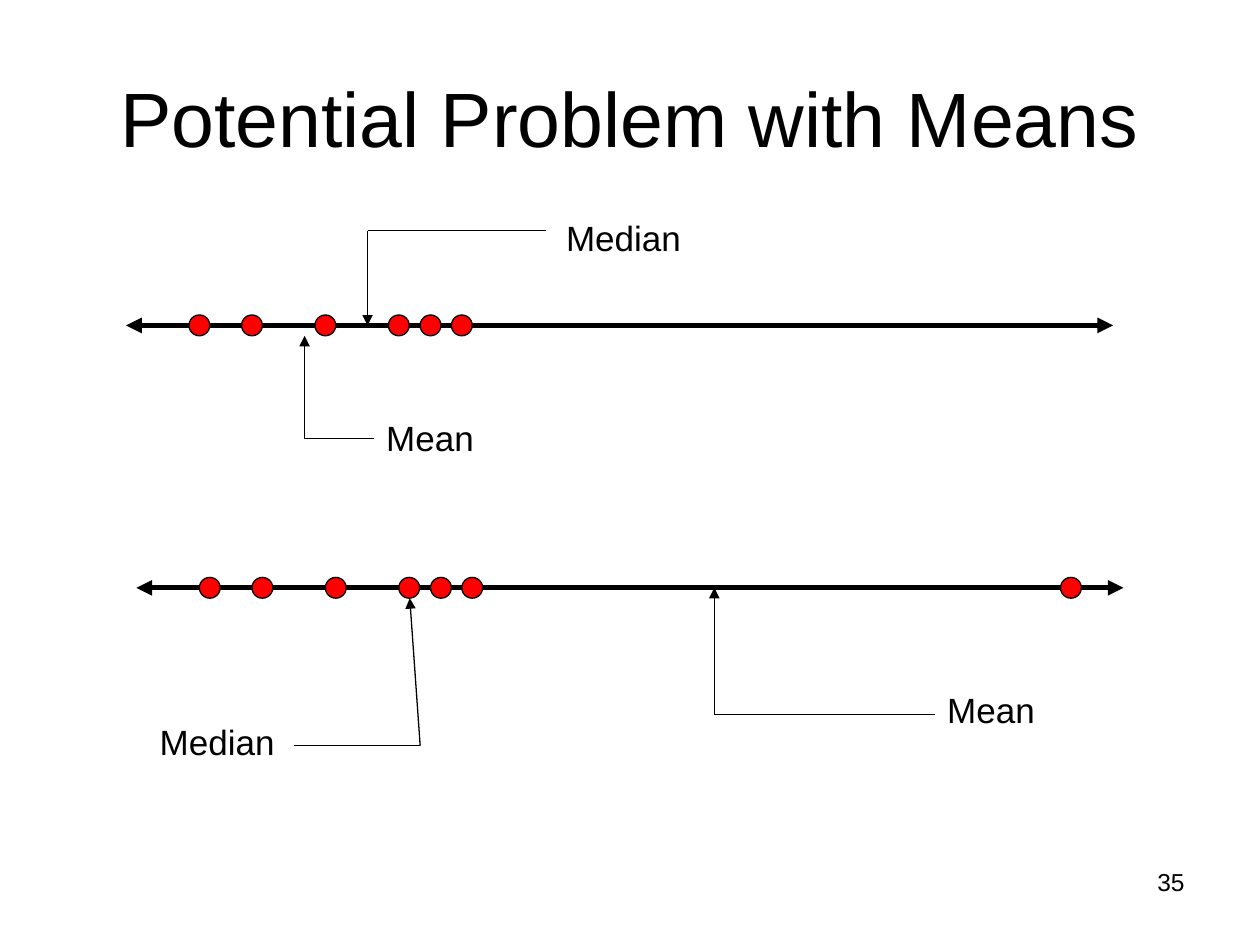
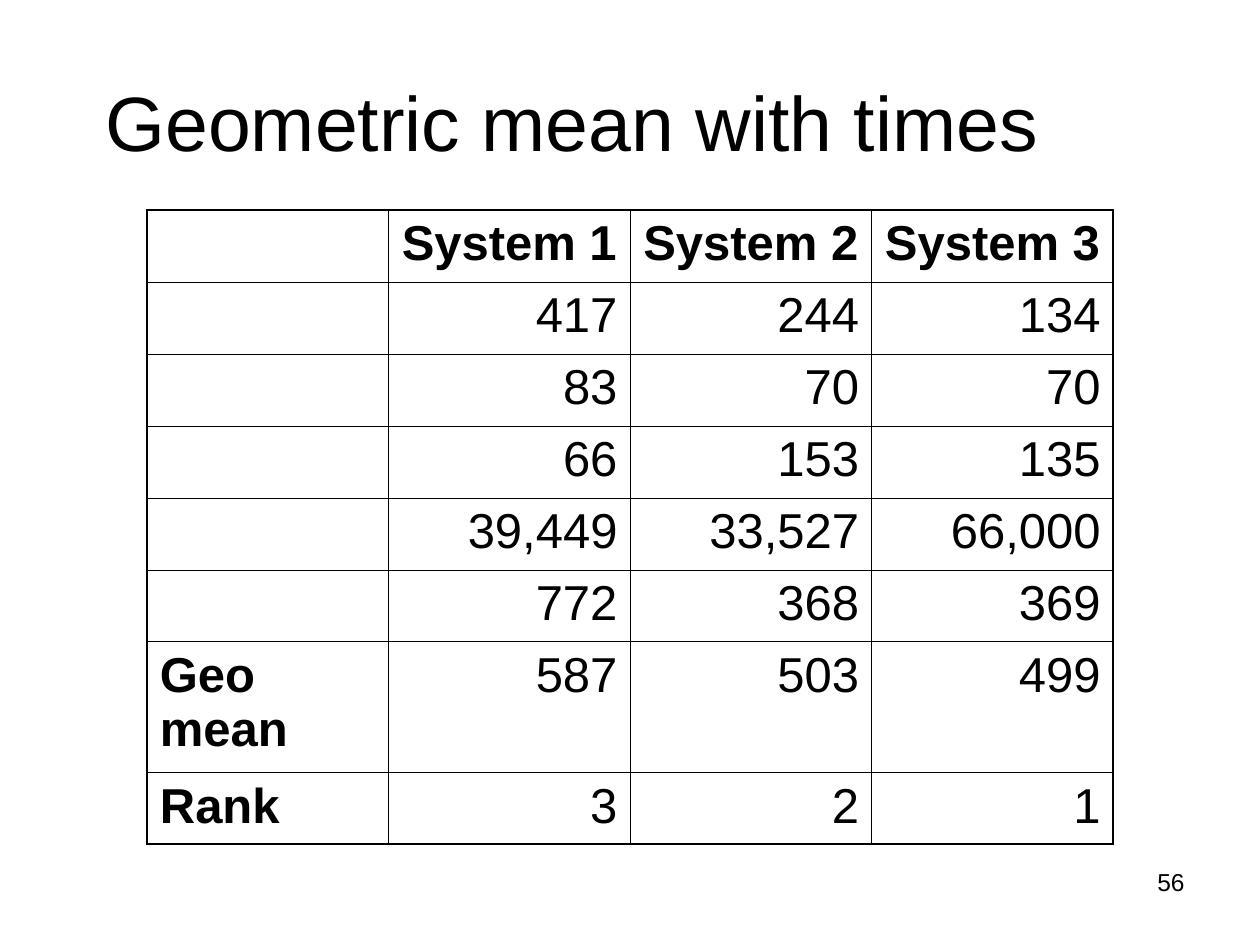
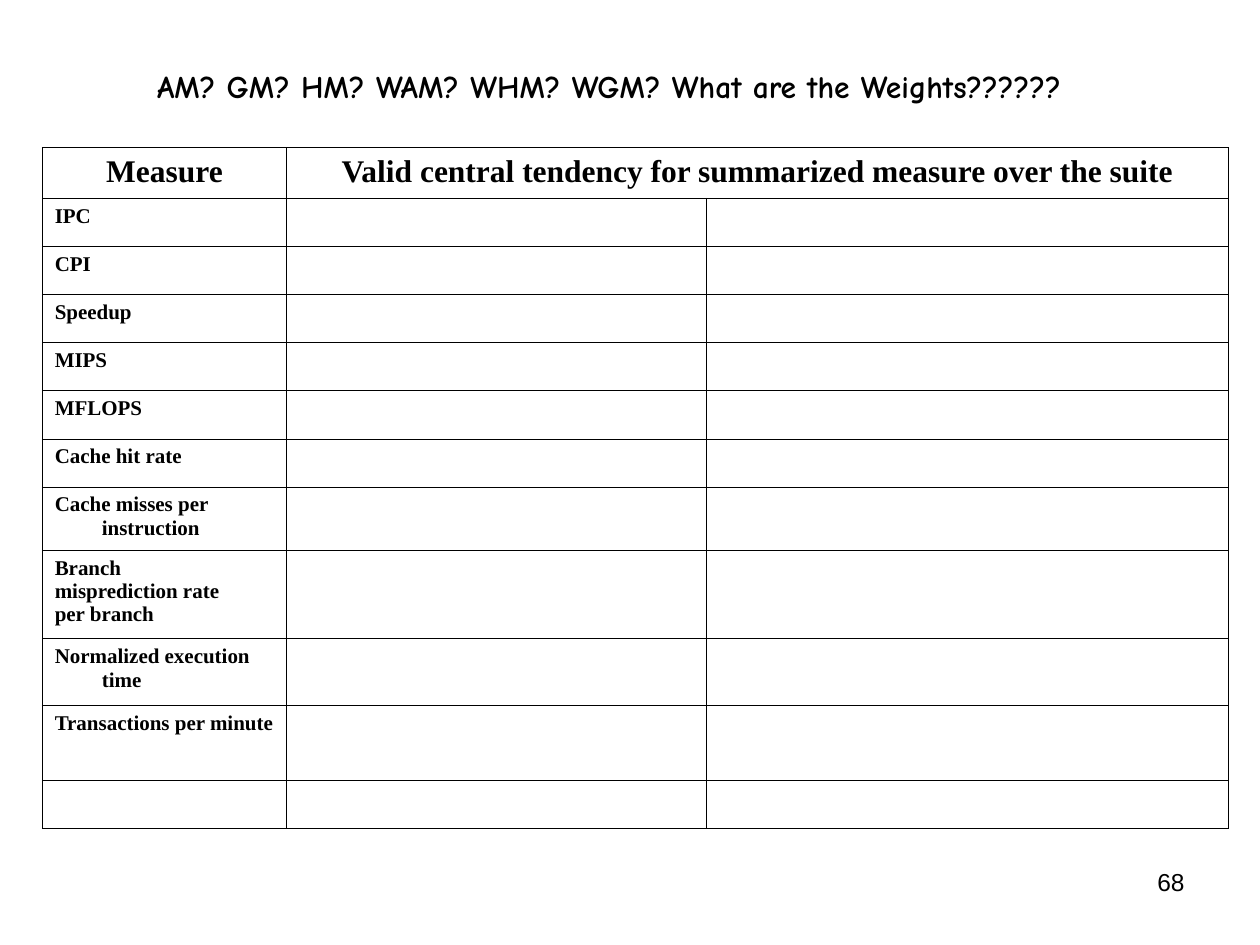
"""Build three lecture slides on means, medians and measures of central tendency."""
import dataclasses

import lxml.etree
import pptx
import pptx.dml.color
import pptx.enum.shapes
import pptx.enum.text
import pptx.oxml.ns
import pptx.util

Cm = pptx.util.Cm
Pt = pptx.util.Pt
qn = pptx.oxml.ns.qn
ALIGN = pptx.enum.text.PP_ALIGN
MIDDLE = pptx.enum.text.MSO_ANCHOR.MIDDLE
TOP = pptx.enum.text.MSO_ANCHOR.TOP


@dataclasses.dataclass(frozen=True)
class Theme:
    """Colours, fonts and sizes shared by the slides."""

    ink: pptx.dml.color.RGBColor = pptx.dml.color.RGBColor(0, 0, 0)
    dot: pptx.dml.color.RGBColor = pptx.dml.color.RGBColor(255, 0, 0)
    body_font: str = "Arial"
    question_font: str = "Comic Neue"
    measure_font: str = "Times New Roman"
    title_size: int = 44
    value_size: int = 28
    label_size: int = 20
    heading_size: int = 18
    number_size: int = 14
    measure_size: int = 12
    axis_width: float = 3
    thin_width: float = 0.75
    frame_width: float = 1.08
    grid_width: float = 0.45


theme = Theme()


def write_text(frame, text, *, size, font=theme.body_font, bold=False,
               align=ALIGN.LEFT, anchor=TOP, wrap=True, hanging=0):
    """Fill a text frame, one paragraph for each line of text."""
    frame.word_wrap = wrap
    frame.vertical_anchor = anchor
    for index, line in enumerate(text.split("\n")):
        paragraph = frame.add_paragraph() if index else frame.paragraphs[0]
        paragraph.alignment = align
        if hanging:
            properties = paragraph._p.get_or_add_pPr()
            properties.set("marL", str(Cm(hanging)))
            properties.set("indent", str(-Cm(hanging)))
        run = paragraph.add_run()
        run.text = line
        run.font.name = font
        run.font.size = Pt(size)
        run.font.bold = bold
        run.font.color.rgb = theme.ink


def draw_line(slide, start, end, width, arrows=()):
    """Draw a straight line with arrowheads at the named ends."""
    connector = slide.shapes.add_connector(
        pptx.enum.shapes.MSO_CONNECTOR.STRAIGHT, *map(Cm, (*start, *end)))
    connector.line.color.rgb = theme.ink
    connector.line.width = Pt(width)
    properties = connector._element.spPr
    for arrow in arrows:
        lxml.etree.SubElement(properties.find(qn("a:ln")), qn(f"a:{arrow}"), type="triangle")
    lxml.etree.SubElement(properties, qn("a:effectLst"))
    return connector


presentation = pptx.Presentation()
presentation.slide_width = Cm(25.4)
presentation.slide_height = Cm(19.05)

title_style = {"size": theme.title_size}
question_style = {"size": theme.heading_size, "font": theme.question_font, "bold": True}
headers = [
    ("Potential Problem with Means", (1.27, 0.76, 22.86, 3.18), title_style, "35"),
    ("Geometric mean with times", (1.06, 0.64, 20.96, 3.6), title_style, "56"),
    ("AM? GM? HM? WAM? WHM? WGM? What are the Weights??????",
     (0.85, 0.64, 22.86, 2.2), question_style, "68"),
]
slides = []
for title, place, style, number in headers:
    slide = presentation.slides.add_slide(presentation.slide_layouts[6])
    slides.append(slide)
    number_box = slide.shapes.add_textbox(Cm(18.2), Cm(17.36), Cm(5.93), Cm(1.32))
    write_text(number_box.text_frame, number, size=theme.number_size, align=ALIGN.RIGHT)
    title_box = slide.shapes.add_textbox(*map(Cm, place))
    write_text(title_box.text_frame, title, align=ALIGN.CENTER, anchor=MIDDLE, **style)

means_slide, times_slide, measures_slide = slides

axis_length = 19.9
dot_size = 0.42
cluster = [1.48, 2.54, 4.02, 5.5, 6.14, 6.77]
outlier = 18.84
for axis_left, axis_y, dot_centres in [(2.54, 6.56, cluster),
                                       (2.75, 11.85, cluster + [outlier])]:
    draw_line(means_slide, (axis_left, axis_y), (axis_left + axis_length, axis_y),
              theme.axis_width, ("headEnd", "tailEnd"))
    for centre in dot_centres:
        dot = means_slide.shapes.add_shape(
            pptx.enum.shapes.MSO_SHAPE.OVAL,
            Cm(axis_left + centre - dot_size / 2), Cm(axis_y - dot_size / 2),
            Cm(dot_size), Cm(dot_size))
        dot.shadow.inherit = False
        dot.fill.solid()
        dot.fill.fore_color.rgb = theme.dot
        dot.line.color.rgb = theme.ink
        dot.line.width = Pt(theme.thin_width)

labels = [
    ("Median", 11.16, 4.24, 2.82),
    ("Mean", 7.47, 8.28, 2.4),
    ("Median", 2.97, 14.4, 2.82),
    ("Mean", 18.78, 13.75, 2.4),
]
for label, left, top, width in labels:
    label_box = means_slide.shapes.add_textbox(Cm(left), Cm(top), Cm(width), Cm(1.12))
    write_text(label_box.text_frame, label, size=theme.label_size,
               align=ALIGN.CENTER, wrap=False)

leaders = [
    ((11.01, 4.65), (7.41, 4.65), (7.41, 6.56)),
    ((5.93, 15.03), (8.47, 15.03), (8.26, 12.06)),
    ((18.84, 14.4), (14.4, 14.4), (14.4, 11.85)),
]
for start, bend, tip in leaders:
    draw_line(means_slide, start, bend, theme.thin_width)
    draw_line(means_slide, bend, tip, theme.thin_width, ("tailEnd",))

elbow = draw_line(means_slide, (6.14, 6.77), (7.54, 8.84), theme.thin_width, ("tailEnd",))
elbow.rotation = 180
elbow._element.spPr.find(qn("a:prstGeom")).set("prst", "bentConnector2")
elbow._element.spPr.find(qn("a:xfrm")).set("rot", "10800000")

times = [
    ["", "System 1", "System 2", "System 3"],
    ["", "417", "244", "134"],
    ["", "83", "70", "70"],
    ["", "66", "153", "135"],
    ["", "39,449", "33,527", "66,000"],
    ["", "772", "368", "369"],
    ["Geo mean", "587", "503", "499"],
    ["Rank", "3", "2", "1"],
]
measure_names = [
    "IPC", "CPI", "Speedup", "MIPS", "MFLOPS", "Cache hit rate",
    "Cache misses per instruction", "Branch\nmisprediction rate\nper branch",
    "Normalized execution time", "Transactions per minute", "",
]
measures = [["Measure", "Valid central tendency for summarized measure over the suite", ""]]
measures += [[name, "", ""] for name in measure_names]

tables = [
    (times_slide, times, (2.97, 4.24), [4.86] + [4.87] * 3, [1.45] * 5 + [1.44, 2.64, 1.44],
     theme.frame_width, theme.value_size, theme.value_size, {}),
    (measures_slide, measures, (0.85, 2.98), [4.93, 8.46, 10.52],
     [0.99] + [0.97] * 6 + [1.27, 1.79, 1.35, 1.51, 0.97],
     theme.grid_width, theme.heading_size, theme.measure_size,
     {"font": theme.measure_font, "hanging": 0.95}),
]
for slide, rows, corner, widths, heights, frame_width, head_size, cell_size, style in tables:
    table = slide.shapes.add_table(
        len(rows), len(widths), *map(Cm, (*corner, sum(widths), sum(heights)))).table
    table.first_row = False
    table.horz_banding = False
    for column, width in zip(table.columns, widths):
        column.width = Cm(width)
    for row, height in zip(table.rows, heights):
        row.height = Cm(height)
    for row_index, texts in enumerate(rows):
        for column_index, text in enumerate(texts):
            cell = table.cell(row_index, column_index)
            outer_sides = {
                "lnL": column_index == 0,
                "lnR": column_index == len(widths) - 1,
                "lnT": row_index == 0,
                "lnB": row_index == len(rows) - 1,
            }
            for side, is_outer in outer_sides.items():
                border_width = Pt(frame_width if is_outer else theme.grid_width)
                border = lxml.etree.SubElement(
                    cell._tc.get_or_add_tcPr(), qn(f"a:{side}"), w=str(border_width))
                border_fill = lxml.etree.SubElement(border, qn("a:solidFill"))
                lxml.etree.SubElement(border_fill, qn("a:srgbClr"), val=str(theme.ink))
            cell.fill.background()
            if not text:
                cell.margin_top = cell.margin_bottom = 0
                continue
            is_head = row_index == 0
            is_name = column_index == 0
            align = ALIGN.CENTER if is_head else ALIGN.LEFT if is_name else ALIGN.RIGHT
            write_text(cell.text_frame, text, size=head_size if is_head else cell_size,
                       bold=is_head or is_name, align=align, **style)
    if rows is measures:
        table.cell(0, 1).merge(table.cell(0, 2))

presentation.save("out.pptx")
